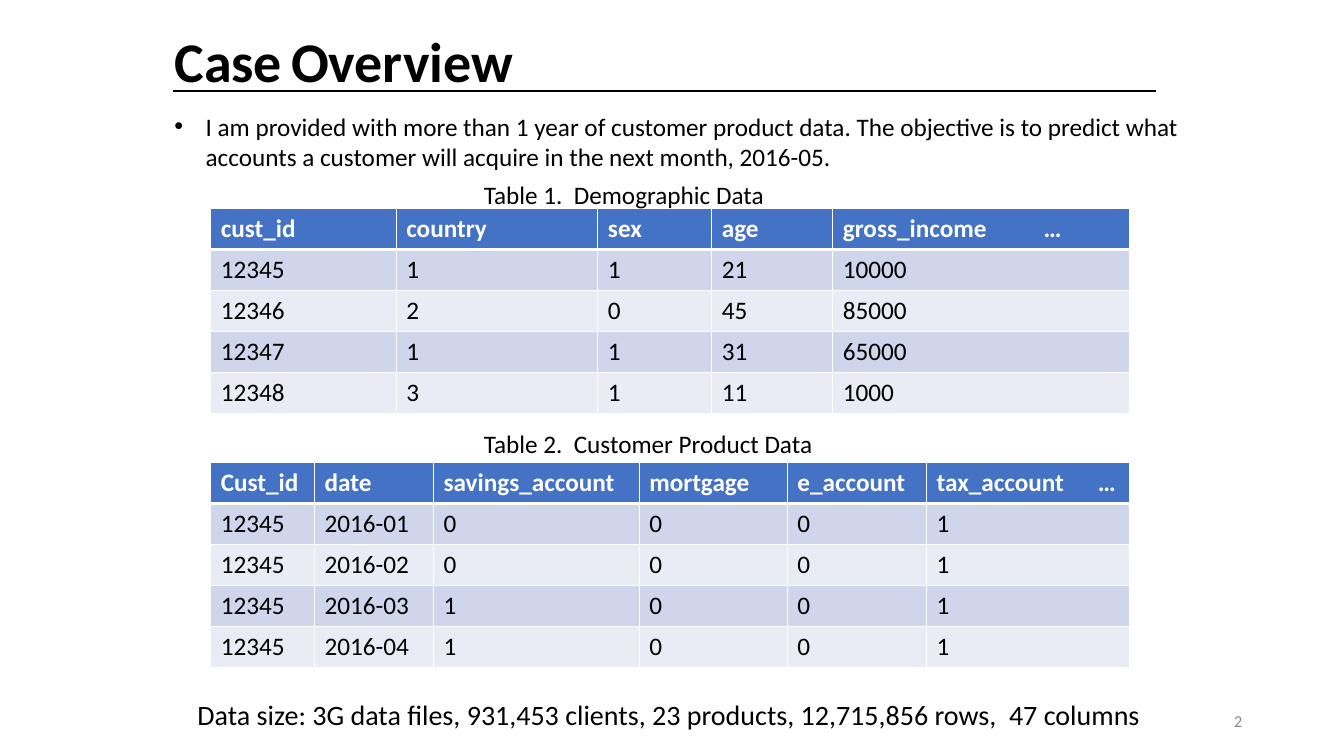
import pptx
import pptx.util
import pptx.dml.color
import pptx.enum.shapes
import pptx.enum.text
import lxml.etree

Inches, Pt = pptx.util.Inches, pptx.util.Pt
ALIGN, ANCHOR = pptx.enum.text.PP_ALIGN, pptx.enum.text.MSO_ANCHOR
FIT = pptx.enum.text.MSO_AUTO_SIZE
NS = "{http://schemas.openxmlformats.org/drawingml/2006/main}"


def paint(hue):
    return pptx.dml.color.RGBColor.from_string(hue)


def write(frame, *parts, size=18, hue="000000", bold=False, align=ALIGN.LEFT,
          anchor=ANCHOR.TOP, wrap=True, fit=FIT.SHAPE_TO_FIT_TEXT,
          bullet=None, tab=None):
    """Fill a text frame; a part is a text or a (text, size) pair."""
    frame.word_wrap, frame.auto_size = wrap, fit
    frame.vertical_anchor = anchor
    par = frame.paragraphs[0]
    par.alignment, par.space_before = align, Pt(0)
    props = par._p.get_or_add_pPr()
    if bullet:
        props.set("marL", str(Inches(0.31)))
        props.set("indent", str(-Inches(0.31)))
        lxml.etree.SubElement(props, NS + "buFont", typeface="Arial")
        lxml.etree.SubElement(props, NS + "buChar", char=bullet)
    if tab:
        stops = lxml.etree.SubElement(props, NS + "tabLst")
        lxml.etree.SubElement(stops, NS + "tab", pos=str(Inches(tab)), algn="l")
    for part in parts:
        text, points = part if isinstance(part, tuple) else (part, size)
        run = par.add_run()
        run.text = text
        run.font.name, run.font.size, run.font.bold = "Calibri", Pt(points), bold
        run.font.color.rgb = paint(hue)


deck = pptx.Presentation()
deck.slide_width, deck.slide_height = Inches(13.33), Inches(7.5)
slide = deck.slides.add_slide(deck.slide_layouts[1])
shapes = slide.shapes

# Title and bullet
title, body = shapes.title, slide.placeholders[1]
for holder, top, high in ((title, 0.21, 0.77), (body, 1.05, 0.71)):
    holder.left, holder.top = Inches(1.63), Inches(top)
    holder.width, holder.height = Inches(10.18), Inches(high)
write(title.text_frame, "Case", (" ", 28), "Overview", size=40, bold=True)
write(body.text_frame,
      "I am provided with more than 1 year of customer product data. "
      "The objective is to predict what accounts a customer will acquire "
      "in the next month, 2016-05.", bullet="•")

# Rule under the title
rule = shapes.add_connector(pptx.enum.shapes.MSO_CONNECTOR.STRAIGHT,
                            Inches(1.72), Inches(0.9), Inches(11.47), Inches(0.9))
rule.line.color.rgb, rule.line.width = paint("000000"), Pt(1.5)
lxml.etree.SubElement(rule._element.spPr, NS + "effectLst")

# Tables: top, column widths, tab stop of the last heading, header anchor, rows
people = [
    ["cust_id", "country", "sex", "age", "gross_income\t…"],
    ["12345", "1", "1", "21", "10000"],
    ["12346", "2", "0", "45", "85000"],
    ["12347", "1", "1", "31", "65000"],
    ["12348", "3", "1", "11", "1000"],
]
goods = [
    ["Cust_id", "date", "savings_account", "mortgage", "e_account", "tax_account\t…"],
    ["12345", "2016-01", "0", "0", "0", "1"],
    ["12345", "2016-02", "0", "0", "0", "1"],
    ["12345", "2016-03", "1", "0", "0", "1"],
    ["12345", "2016-04", "1", "0", "0", "1"],
]
tables = [
    (4.59, [1.03, 1.18, 2.04, 1.47, 1.38, 2.01], 1.6, ANCHOR.TOP, goods),
    (2.07, [1.84, 2, 1.13, 1.2, 2.94], 1.99, ANCHOR.MIDDLE, people),
]
for top, widths, stop, anchor, rows in tables:
    grid = shapes.add_table(len(rows), len(widths), Inches(2.09), Inches(top),
                            Inches(9.11), Inches(2.03)).table
    for col, width in zip(grid.columns, widths):
        col.width = Inches(width)
    for r, row in enumerate(rows):
        head = r == 0
        for c, text in enumerate(row):
            cell = grid.cell(r, c)
            write(cell.text_frame, text, bold=head, fit=None, wrap=None,
                  anchor=None, hue="FFFFFF" if head else "000000",
                  tab=stop if "\t" in text else None)
            cell.vertical_anchor = anchor if head else ANCHOR.TOP
            # White borders, thick below the header
            props = cell._tc.get_or_add_tcPr()
            for side in "LRTB":
                thick = (r, side) in ((0, "B"), (1, "T"))
                edge = lxml.etree.SubElement(props, NS + "ln" + side,
                                             w=str(Pt(3 if thick else 1)))
                fill = lxml.etree.SubElement(edge, NS + "solidFill")
                lxml.etree.SubElement(fill, NS + "srgbClr", val="FFFFFF")
            cell.fill.solid()
            cell.fill.fore_color.rgb = paint(
                "4472C4" if head else ("E9EBF5", "CFD5EA")[r % 2])

# Captions, page number and data size
notes = [
    ("Table 1.  Demographic Data", (4.7, 1.73, 3.01, 0.4), {"wrap": False}),
    ("Table 2.  Customer Product Data", (4.7, 4.2, 3.5, 0.4), {"wrap": False}),
    ("2", (9.42, 6.95, 3, 0.4),
     {"size": 12, "hue": "8C8C8C", "align": ALIGN.RIGHT,
      "anchor": ANCHOR.MIDDLE, "fit": FIT.NONE}),
    ("Data size: 3G data files, 931,453 clients, 23 products, "
     "12,715,856 rows,  47 columns", (1.86, 6.87, 9.72, 0.44), {"size": 20}),
]
for text, place, form in notes:
    box = shapes.add_textbox(*map(Inches, place))
    write(box.text_frame, text, **form)

deck.save("out.pptx")
